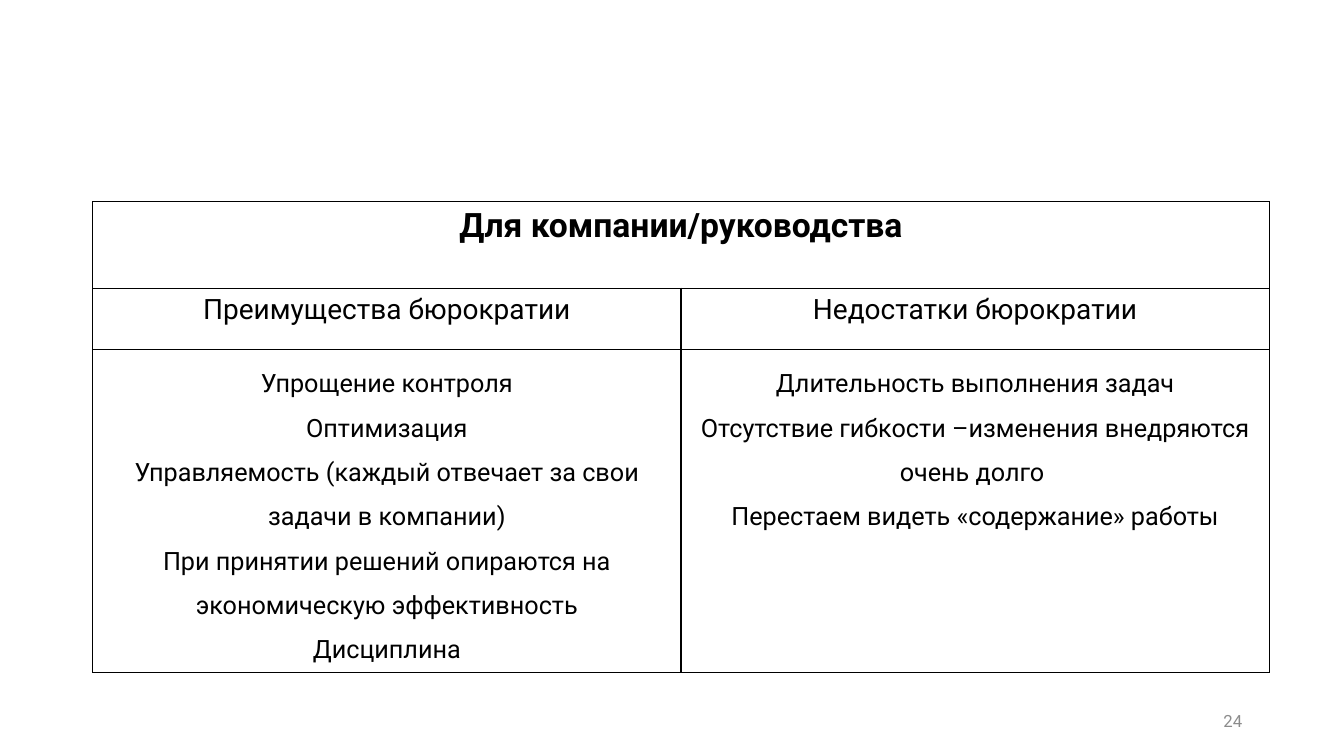
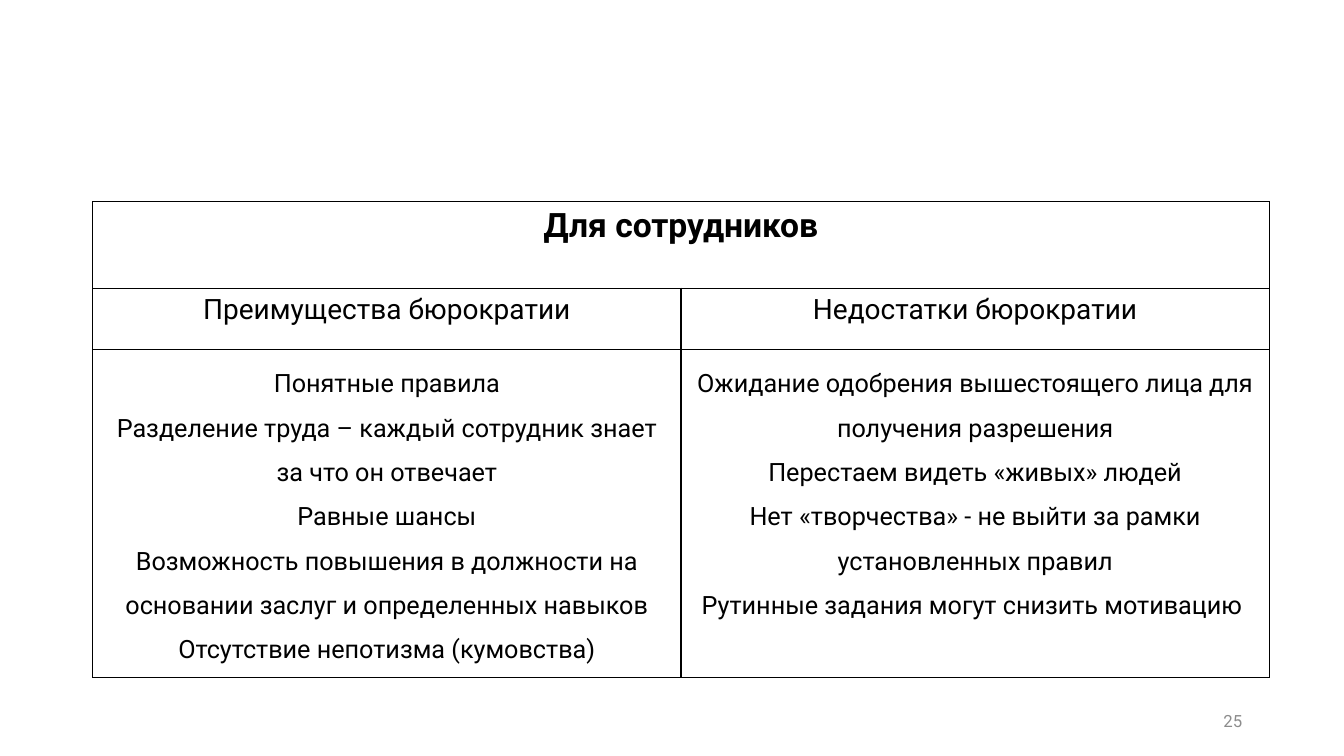
from lxml import etree
from pptx import Presentation
from pptx import util as u
from pptx.dml.color import RGBColor
from pptx.enum import text
from pptx.oxml import ns

ALIGN = text.PP_ALIGN


def rgb(value):
    return RGBColor.from_string(value)


class Deck:
    FONT = "Roboto"
    INK, GREY = "000000", "8C8C8C"
    # Text formats by role
    HEADING = {"size": u.Pt(24), "bold": True}
    SUBHEADING = {"size": u.Pt(20), "bold": False}
    BODY = {"size": u.Pt(18), "bold": False}
    NUMBER = {"size": u.Pt(12)}
    # Table layout in inches
    LEFT, TOP, WIDTH = 0.92, 2, 11.67
    ROWS = (0.86, 0.61, 3.2)

    def __init__(self):
        self.prs = Presentation()
        self.prs.slide_width = u.Inches(13.33)
        self.prs.slide_height = u.Inches(7.5)
        self.s = None

    def new_slide(self):
        self.s = self.prs.slides.add_slide(self.prs.slide_layouts[6])

    def add_lines(self, tf, lines, fmt, color=INK, align=ALIGN.CENTER, spacing=None):
        for i, line in enumerate(lines):
            p = tf.add_paragraph() if i else tf.paragraphs[0]
            p.alignment = align
            p.line_spacing = spacing
            r = p.add_run()
            r.text = line
            r.font.name = self.FONT
            r.font.color.rgb = rgb(color)
            for name, value in fmt.items():
                setattr(r.font, name, value)

    def border(self, cell):
        tc_pr = cell._tc.get_or_add_tcPr()
        for side in ("lnL", "lnR", "lnT", "lnB"):
            ln = etree.SubElement(tc_pr, ns.qn(f"a:{side}"), w=str(u.Pt(1)))
            fill = etree.SubElement(ln, ns.qn("a:solidFill"))
            etree.SubElement(fill, ns.qn("a:srgbClr"), val=self.INK)
        cell.fill.background()

    def comparison(self, heading, columns):
        """Table with a merged heading above one column per (title, points)."""
        count = len(columns)
        table = self.s.shapes.add_table(
            len(self.ROWS), count, u.Inches(self.LEFT), u.Inches(self.TOP),
            u.Inches(self.WIDTH), u.Inches(sum(self.ROWS))).table
        for row, height in zip(table.rows, self.ROWS):
            row.height = u.Inches(height)
        for cell in table.iter_cells():
            self.border(cell)

        # Heading across all columns
        table.cell(0, 0).merge(table.cell(0, count - 1))
        self.add_lines(table.cell(0, 0).text_frame, [heading], self.HEADING)

        # Column titles and their points
        for i, (title, points) in enumerate(columns):
            self.add_lines(table.cell(1, i).text_frame, [title], self.SUBHEADING)
            self.add_lines(table.cell(2, i).text_frame, points, self.BODY, spacing=1.5)

    def page_number(self, number):
        sp = self.s.shapes.add_textbox(
            u.Inches(9.42), u.Inches(6.95), u.Inches(3), u.Inches(0.4))
        tf = sp.text_frame
        tf.word_wrap = True
        tf.vertical_anchor = text.MSO_ANCHOR.MIDDLE
        self.add_lines(tf, [str(number)], self.NUMBER, self.GREY, ALIGN.RIGHT)


TITLES = ("Преимущества бюрократии", "Недостатки бюрократии")
FIRST_PAGE = 24
# Heading, advantages, drawbacks
SLIDES = [
    ("Для компании/руководства",
     ["Упрощение контроля",
      "Оптимизация",
      "Управляемость (каждый отвечает за свои задачи в компании)",
      "При принятии решений опираются на экономическую эффективность",
      "Дисциплина"],
     ["Длительность выполнения задач",
      "Отсутствие гибкости –изменения внедряются очень долго ",
      "Перестаем видеть «содержание» работы"]),
    ("Для сотрудников",
     ["Понятные правила",
      "Разделение труда – каждый сотрудник знает за что он отвечает",
      "Равные шансы",
      "Возможность повышения в должности на основании заслуг "
      "и определенных навыков",
      "Отсутствие непотизма (кумовства)"],
     ["Ожидание одобрения вышестоящего лица для получения разрешения",
      "Перестаем видеть «живых» людей",
      "Нет «творчества» - не выйти за рамки установленных правил",
      "Рутинные задания могут снизить мотивацию "]),
]


def main():
    deck = Deck()
    for number, (heading, *points) in enumerate(SLIDES, FIRST_PAGE):
        deck.new_slide()
        deck.comparison(heading, list(zip(TITLES, points)))
        deck.page_number(number)
    deck.prs.save("out.pptx")


if __name__ == "__main__":
    main()
